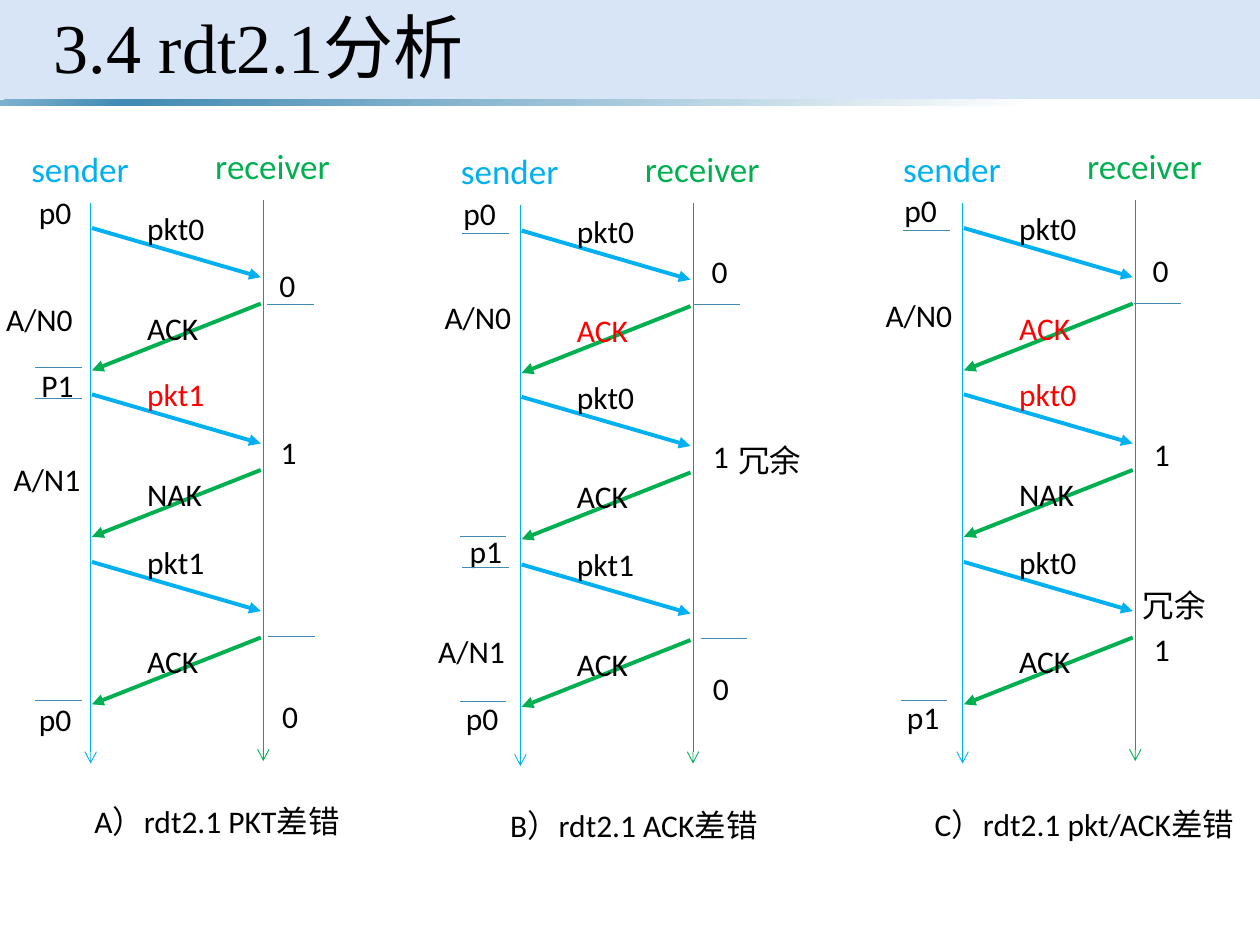
"""Build the slide on rdt2.1 with three sender and receiver timelines."""
from typing import NamedTuple

from lxml import etree
from pptx import Presentation
from pptx.dml.color import RGBColor
from pptx.enum.shapes import MSO_CONNECTOR, MSO_SHAPE
from pptx.enum.text import MSO_ANCHOR, MSO_AUTO_SIZE
from pptx.oxml import parse_xml
from pptx.oxml.ns import nsdecls, qn
from pptx.util import Pt

PX = 9144
RECT = MSO_SHAPE.RECTANGLE
LINE = MSO_CONNECTOR.STRAIGHT
MIDDLE = MSO_ANCHOR.MIDDLE
GROW = MSO_AUTO_SIZE.SHAPE_TO_FIT_TEXT
FIXED = MSO_AUTO_SIZE.NONE

BLACK = RGBColor(0x00, 0x00, 0x00)
RED = RGBColor(0xFF, 0x00, 0x00)
BLUE = RGBColor(0x00, 0xB0, 0xF0)
GREEN = RGBColor(0x00, 0xB0, 0x50)
STEEL = RGBColor(0x41, 0x8A, 0xB3)
PALE = RGBColor(0xC8, 0xDA, 0xF4)
FADE = ((0, "7EB3D0"), (10, "418AB3"), (82, "FFFFFF"), (96, "FFFFFF"))

TICK = 37
WIDTHS = {"0": 33, "1": 33, "p0": 46, "p1": 46, "P1": 46, "A/N0": 74,
          "A/N1": 74, "冗余": 71, "ACK": 61, "NAK": 64, "pkt0": 66, "pkt1": 66}


class Msg(NamedTuple):
    text: str
    color: RGBColor = BLACK


class Note(NamedTuple):
    text: str
    left: int
    top: int


class Title(NamedTuple):
    text: str
    left: int
    top: int
    width: int


class Panel(NamedTuple):
    left: int
    top: int
    rounds: list[tuple[Msg, Msg]]
    title: Title
    notes: list[Note]
    ticks: list[tuple[int, int]]


PANELS = [
    Panel(72, 161,
          [(Msg("pkt0"), Msg("ACK")),
           (Msg("pkt1", RED), Msg("NAK")),
           (Msg("pkt1"), Msg("ACK"))],
          Title("A）rdt2.1 PKT差错", 65, 632, 217),
          [Note("0", 212, 206), Note("1", 213, 339), Note("0", 214, 548),
           Note("p0", 21, 148), Note("A/N0", -5, 233), Note("P1", 23, 286),
           Note("A/N1", 1, 360), Note("p0", 21, 551)],
          [(28, 292), (28, 316), (28, 556), (212, 242), (213, 505)]),
    Panel(413, 163,
          [(Msg("pkt0"), Msg("ACK", RED)),
           (Msg("pkt0"), Msg("ACK")),
           (Msg("pkt1"), Msg("ACK"))],
          Title("B）rdt2.1 ACK差错", 395, 635, 218),
          [Note("冗余", 576, 345), Note("0", 555, 195), Note("1", 556, 342),
           Note("0", 556, 526), Note("p0", 358, 149), Note("A/N0", 343, 232),
           Note("p1", 363, 417), Note("A/N1", 338, 497), Note("p0", 360, 550)],
          [(367, 185), (365, 426), (367, 450), (365, 557), (550, 242), (556, 507)]),
    Panel(764, 161,
          [(Msg("pkt0"), Msg("ACK", RED)),
           (Msg("pkt0", RED), Msg("NAK")),
           (Msg("pkt0"), Msg("ACK"))],
          Title("C）rdt2.1 pkt/ACK差错", 732, 634, 260),
          [Note("冗余", 897, 460), Note("0", 905, 194), Note("1", 906, 340),
           Note("1", 906, 495), Note("p0", 708, 147), Note("A/N0", 693, 230),
           Note("p1", 710, 549)],
          [(717, 183), (715, 556), (900, 241)]),
]


def add_text(shapes, text: str, left: int, top: int, width: int, height: int = 40,
             size: int = 18, color: RGBColor = BLACK, font: str = "Calibri",
             wrap: bool = False):
    box = shapes.add_textbox(left * PX, top * PX, width * PX, height * PX)
    frame = box.text_frame
    frame.word_wrap = wrap
    frame.auto_size = GROW
    run = frame.paragraphs[0].add_run()
    run.text = text
    run.font.size = Pt(size)
    run.font.name = font
    run.font.color.rgb = color
    return frame


def add_line(shapes, start: tuple[int, int], end: tuple[int, int],
             color: RGBColor, weight: float, head: str = "") -> None:
    line = shapes.add_connector(LINE, *(n * PX for n in start + end))
    line.line.color.rgb = color
    line.line.width = Pt(weight)
    if head:
        etree.SubElement(line.line._get_or_add_ln(), qn("a:tailEnd"), type=head)
    etree.SubElement(line._element.spPr, qn("a:effectLst"))


def add_bar(shapes, top: int, height: int):
    bar = shapes.add_shape(RECT, 0, top * PX, 1000 * PX, height * PX)
    bar.shadow.inherit = False
    bar.line.fill.background()
    bar.fill.solid()
    bar.fill.fore_color.rgb = PALE
    return bar


def add_header(shapes) -> None:
    band = add_bar(shapes, 0, 79)
    tint = band._element.spPr.find(".//" + qn("a:srgbClr"))
    etree.SubElement(tint, qn("a:alpha"), val="70000")
    strip = add_bar(shapes, 79, 5)
    stops = "".join(f'<a:gs pos="{pos * 1000}"><a:srgbClr val="{tone}"/></a:gs>'
                    for pos, tone in FADE)
    props = strip._element.spPr
    props.replace(props.find(qn("a:solidFill")), parse_xml(
        f'<a:gradFill {nsdecls("a")}><a:gsLst>{stops}</a:gsLst>'
        '<a:lin ang="2700000" scaled="0"/></a:gradFill>'))
    frame = add_text(shapes, "3.4 rdt2.1分析", 33, 0, 931, 81, 40,
                     font="Times New Roman", wrap=True)
    frame.auto_size = FIXED
    frame.vertical_anchor = MIDDLE
    frame.paragraphs[0].line_spacing = 0.9


def add_panel(shapes, panel: Panel) -> None:
    left, top = panel.left, panel.top
    near, far = left + 1, left + 135
    for i, (sent, reply) in enumerate(panel.rounds):
        y = top + i * 265 // 2
        add_line(shapes, (near, y + 20), (far, y + 59), BLUE, 2.25, "triangle")
        add_line(shapes, (far, y + 80), (near, y + 133), GREEN, 2.25, "triangle")
        for msg, drop in ((sent, 0), (reply, 79)):
            add_text(shapes, msg.text, left + 35, y + drop, WIDTHS[msg.text],
                     color=msg.color)
    add_text(shapes, "sender", left - 57, top - 49, 99, 44, 20, BLUE)
    add_text(shapes, "receiver", left + 89, top - 51, 112, 44, 20, GREEN)
    for x, y, color in ((left, top, BLUE), (left + 137, top - 2, GREEN)):
        add_line(shapes, (x, y), (x, y + 445), color, 0.5, "arrow")
    for note in panel.notes:
        add_text(shapes, note.text, note.left, note.top, WIDTHS[note.text])
    for x, y in panel.ticks:
        add_line(shapes, (x, y), (x + TICK, y), STEEL, 0.5)
    add_text(shapes, *panel.title, wrap=True)


def main() -> None:
    deck = Presentation()
    deck.slide_width, deck.slide_height = 1000 * PX, 750 * PX
    shapes = deck.slides.add_slide(deck.slide_layouts[6]).shapes
    add_header(shapes)
    for panel in PANELS:
        add_panel(shapes, panel)
    deck.save("out.pptx")


if __name__ == "__main__":
    main()
